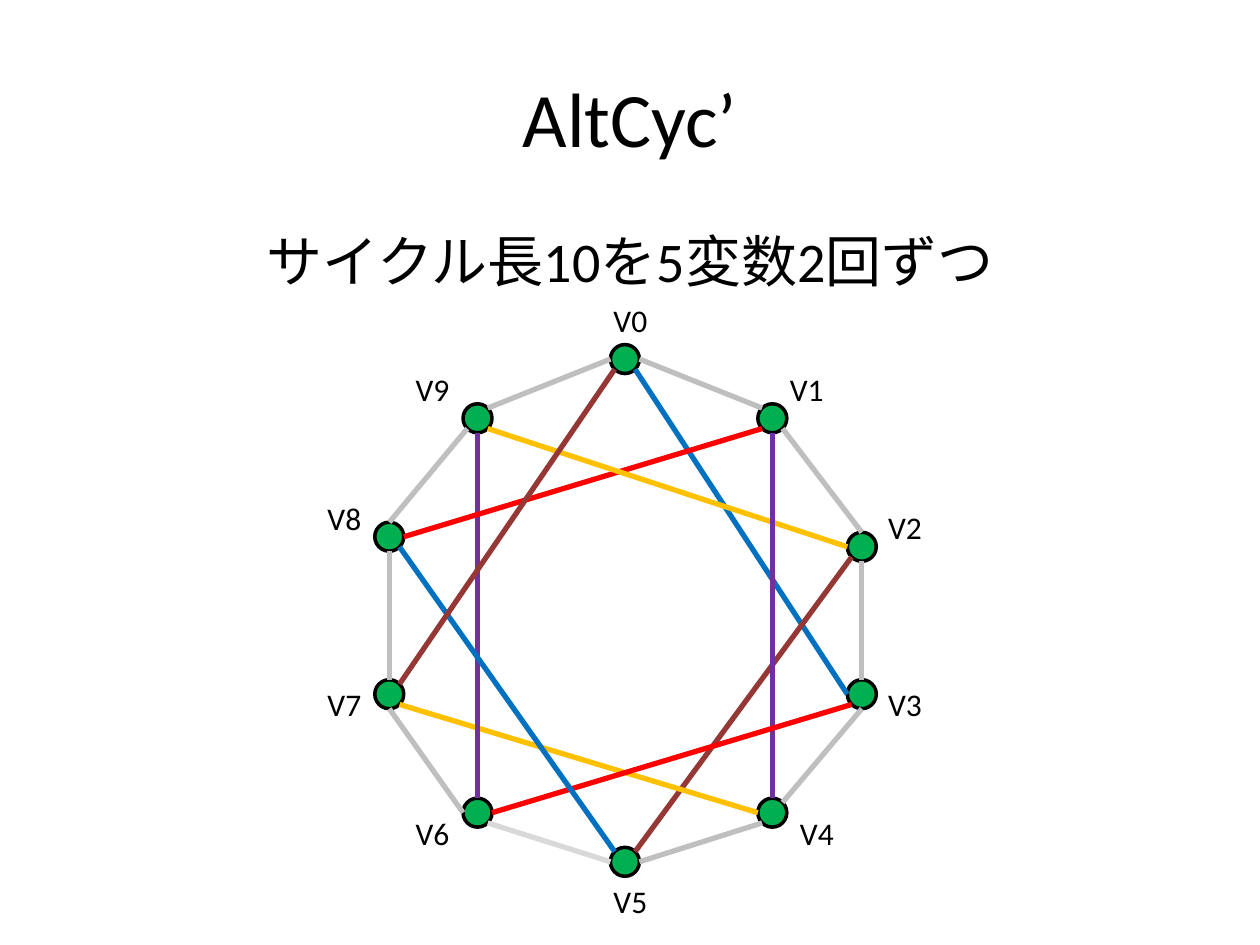
from dataclasses import dataclass
from math import cos, radians, sin

from pptx import Presentation
from pptx.dml.color import RGBColor
from pptx.enum.shapes import MSO_CONNECTOR, MSO_SHAPE
from pptx.enum.text import MSO_ANCHOR, MSO_AUTO_SIZE, PP_ALIGN
from pptx.oxml.xmlchemy import OxmlElement
from pptx.slide import Slide
from pptx.util import Inches, Pt

BLACK, GREEN = "000000", "00B050"
GRAY, LIGHT_GRAY = "BFBFBF", "D9D9D9"
BLUE, BROWN, ORANGE = "0070C0", "953735", "FFC000"
PURPLE, RED = "7030A0", "FF0000"

DIAMETER = 0.23
SITES = {"E": 0, "SE": 45, "S": 90, "SW": 135, "W": 180, "NW": 225, "N": 270, "NE": 315}

NODES = [(4.96, 2.85), (6.13, 3.32), (6.84, 4.34), (6.84, 5.51), (6.13, 6.45),
         (4.96, 6.84), (3.79, 6.45), (3.09, 5.51), (3.09, 4.26), (3.79, 3.32)]

LABELS = [(4.77, 2.34), (6.17, 2.89), (6.95, 3.98), (6.95, 5.39), (6.25, 6.41),
          (4.77, 6.95), (3.2, 6.41), (2.5, 5.39), (2.5, 3.91), (3.2, 2.89)]

EDGES = [
    (0, "E", 1, "NW", GRAY),
    (0, "SE", 3, "W", BLUE),
    (1, "SE", 2, "N", GRAY),
    (2, "S", 3, "N", GRAY),
    (3, "S", 4, "NE", GRAY),
    (4, "SW", 5, "E", GRAY),
    (5, "W", 6, "SE", LIGHT_GRAY),
    (6, "W", 7, "S", GRAY),
    (7, "N", 8, "S", GRAY),
    (8, "N", 9, "SW", GRAY),
    (2, "SW", 5, "NE", BROWN),
    (4, "W", 7, "SE", ORANGE),
    (6, "N", 9, "S", PURPLE),
    (0, "W", 9, "NE", GRAY),
    (8, "E", 1, "SW", RED),
    (9, "SE", 2, "W", ORANGE),
    (1, "S", 4, "N", PURPLE),
    (3, "SW", 6, "E", RED),
    (5, "NW", 8, "SE", BLUE),
    (7, "NE", 0, "SW", BROWN),
]


def color(value):
    return RGBColor.from_string(value)


def site(node, direction):
    x, y = NODES[node]
    angle = radians(SITES[direction])
    return x + DIAMETER / 2 * cos(angle), y + DIAMETER / 2 * sin(angle)


@dataclass
class GraphSlide:
    """Draw styled titles, text, nodes and edges on the current slide."""

    s: Slide
    font: str = "Calibri"
    node_line: float = 2
    edge_line: float = 3

    def add_run(self, tf, text, size, align):
        p = tf.paragraphs[0]
        p.alignment = align
        r = p.add_run()
        r.text = text
        r.font.name = self.font
        r.font.size = Pt(size)
        r.font.color.rgb = color(BLACK)

    def title(self, text, x, y, w, h):
        sp = self.s.shapes.title
        sp.left, sp.top, sp.width, sp.height = map(Inches, (x, y, w, h))
        sp.text_frame.vertical_anchor = MSO_ANCHOR.MIDDLE
        self.add_run(sp.text_frame, text, 44, PP_ALIGN.CENTER)

    def text(self, text, x, y, w, h, size, align=PP_ALIGN.LEFT, wrap=False):
        tf = self.s.shapes.add_textbox(*map(Inches, (x, y, w, h))).text_frame
        tf.word_wrap = wrap
        tf.auto_size = MSO_AUTO_SIZE.NONE if wrap else MSO_AUTO_SIZE.SHAPE_TO_FIT_TEXT
        self.add_run(tf, text, size, align)

    def node(self, x, y):
        box = (x - DIAMETER / 2, y - DIAMETER / 2, DIAMETER, DIAMETER)
        sp = self.s.shapes.add_shape(MSO_SHAPE.OVAL, *map(Inches, box))
        sp.shadow.inherit = False
        sp.fill.solid()
        sp.fill.fore_color.rgb = color(GREEN)
        sp.line.color.rgb = color(BLACK)
        sp.line.width = Pt(self.node_line)

    def edge(self, start, start_site, end, end_site, stroke):
        ends = site(start, start_site) + site(end, end_site)
        cxn = self.s.shapes.add_connector(MSO_CONNECTOR.STRAIGHT, *map(Inches, ends))
        cxn.line.color.rgb = color(stroke)
        cxn.line.width = Pt(self.edge_line)
        cxn._element.spPr.append(OxmlElement("a:effectLst"))


def main():
    prs = Presentation()
    prs.slide_width, prs.slide_height = Inches(10), Inches(7.5)
    graph = GraphSlide(prs.slides.add_slide(prs.slide_layouts[5]))
    graph.title("AltCyc’", 0.5, 0.3, 9, 1.25)
    graph.text("サイクル長10を5変数2回ずつ", 0.5, 1.75, 9, 0.65, 32, PP_ALIGN.CENTER, wrap=True)
    for center in NODES:
        graph.node(*center)
    for i, (x, y) in enumerate(LABELS):
        graph.text(f"V{i}", x, y, 0.51, 0.4, 18)
    for edge in EDGES:
        graph.edge(*edge)
    prs.save("out.pptx")


if __name__ == "__main__":
    main()
